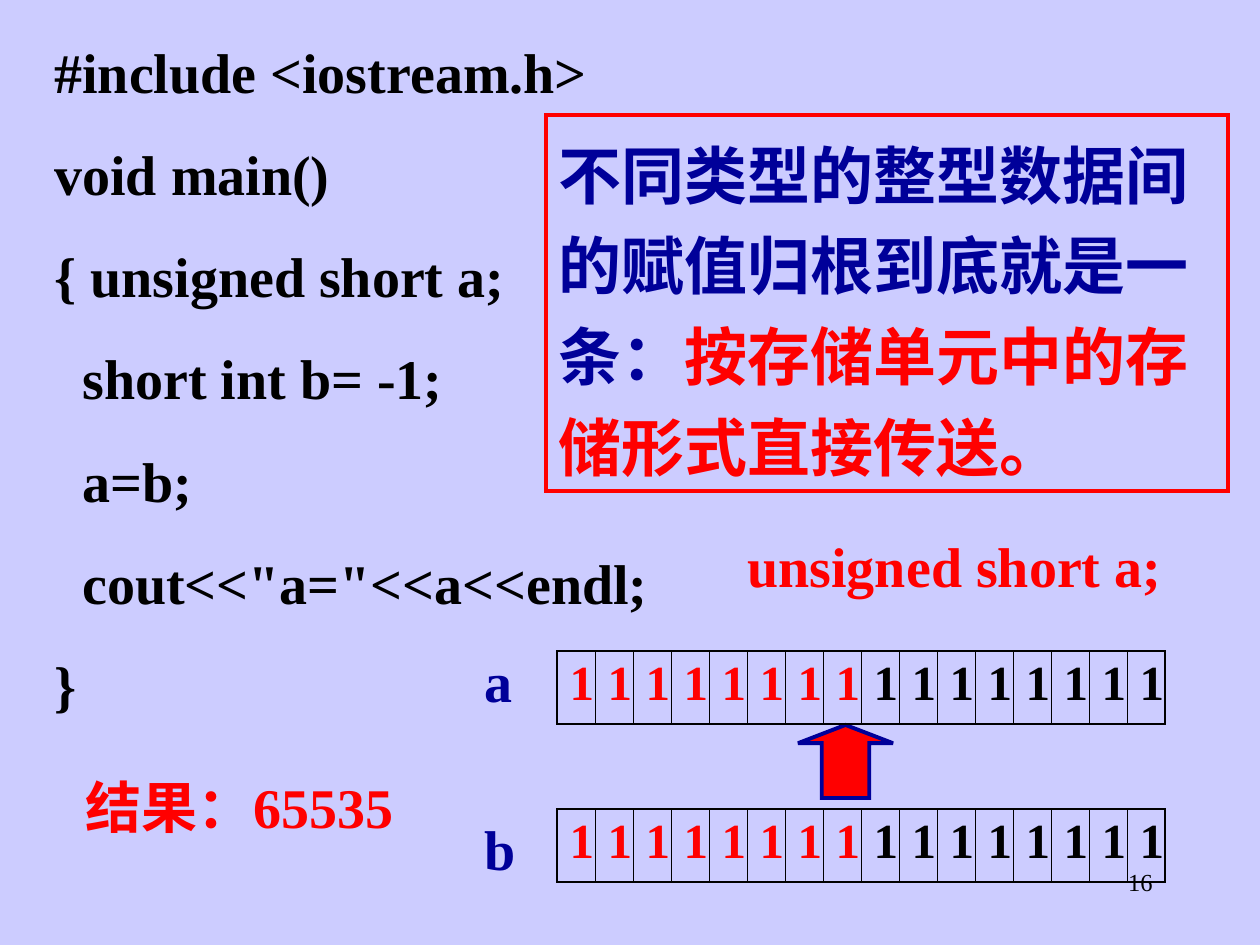
from lxml.etree import SubElement as Sub
from pptx import Presentation
from pptx.dml.color import RGBColor
from pptx.enum.shapes import MSO_SHAPE as Shape
from pptx.enum.text import MSO_ANCHOR as Anchor, PP_ALIGN as Align
from pptx.oxml.ns import qn
from pptx.util import Pt

TIMES, NOTO = "Times New Roman", "Noto Sans CJK SC"
RED, NAVY, BLACK, LILAC = "FF0000", "000099", "000000", "CCCCFF"
BITS, HALF = 16, 8
THIN, THICK = 0.45, 1.08
ROW_A, ROW_B = 651, 809
CODE = [
    "#include <iostream.h>",
    "void main()",
    "{ unsigned short a;",
    "  short int b= -1;",
    "  a=b;",
    '  cout<<"a="<<a<<endl;',
    "}",
]


def px(n):
    return round(n * 914400 / 126)


def color(code):
    return RGBColor.from_string(code)


def add_run(para, text, hue, size=32, face=TIMES, bold=True):
    run = para.add_run()
    run.text = text
    font = run.font
    font.size, font.name, font.bold = Pt(size), face, bold
    font.color.rgb = color(hue)
    Sub(run._r.get_or_add_rPr(), qn("a:ea"), typeface=NOTO)


def add_text(slide, box, lines, hue, align=Align.LEFT, gap=0, **style):
    frame = slide.shapes.add_textbox(*map(px, box)).text_frame
    frame.word_wrap = True
    for i, line in enumerate(lines):
        para = frame.add_paragraph() if i else frame.paragraphs[0]
        para.alignment = align
        para.space_before = Pt(gap if i else 0)
        add_run(para, line, hue, **style)


def add_form(slide, kind, box, line, fill=None):
    form = slide.shapes.add_shape(kind, *map(px, box))
    form.shadow.inherit = False
    if fill:
        form.fill.solid()
        form.fill.fore_color.rgb = color(fill)
    else:
        form.fill.background()
    form.line.color.rgb = color(line)
    form.line.width = Pt(2.25)
    Sub(form.line._get_or_add_ln(), qn("a:miter"), lim="800000")
    return form


def add_note(slide, box, parts):
    frame = add_form(slide, Shape.RECTANGLE, box, RED).text_frame
    frame.word_wrap = True
    frame.vertical_anchor = Anchor.TOP
    para = frame.paragraphs[0]
    para.alignment = Align.LEFT
    para.line_spacing = 1.2
    for text, hue in parts:
        add_run(para, text, hue, size=36, face=NOTO)


def set_edges(cell, widths):
    props = cell._tc.get_or_add_tcPr()
    for i, (side, width) in enumerate(zip("LRTB", widths)):
        edge = Sub(props, qn(f"a:ln{side}"), w=str(Pt(width)))
        fill = Sub(edge, qn("a:solidFill"))
        Sub(fill, qn("a:srgbClr"), val=BLACK)
        props.insert(i, edge)


def add_bits(slide, top, digits="", left=557, step=38, height=73):
    frame = slide.shapes.add_table(
        1, BITS, px(left), px(top), px(step * BITS), px(height))
    table = frame.table
    table.first_row = table.horz_banding = False
    for i, col in enumerate(table.columns):
        col.width = px(step)
        cell = table.cell(0, i)
        cell.fill.background()
        start = THICK if i == 0 else THIN
        end = THICK if i == BITS - 1 else THIN
        set_edges(cell, (start, end, THICK, THICK))
        if digits:
            hue = RED if i < HALF else BLACK
            add_run(cell.text_frame.paragraphs[0], digits[i], hue, size=28)


def main():
    deck = Presentation()
    deck.slide_width, deck.slide_height = px(1260), px(945)
    slide = deck.slides.add_slide(deck.slide_layouts[6])
    back = slide.background.fill
    back.solid()
    back.fore_color.rgb = color(LILAC)

    # Page number
    add_text(slide, (903, 861, 262, 63), ["16"], BLACK, Align.RIGHT,
             size=14, bold=False)

    # Program and its result
    add_text(slide, (42, 31, 693, 693), CODE, BLACK, Align.JUSTIFY, gap=20)
    add_text(slide, (73, 766, 567, 81), ["结果：65535"], RED)

    # Rule of assignment
    add_note(slide, (546, 115, 682, 376), [
        ("不同类型的整型数据间的赋值归根到底就是一条：", NAVY),
        ("按存储单元中的存储形式直接传送。", RED),
    ])

    # Storage of a as an empty grid, then b with its bits
    ones = "1" * BITS
    add_bits(slide, ROW_A)
    add_text(slide, (472, 640, 63, 81), ["a"], NAVY)
    add_bits(slide, ROW_B, ones)
    add_text(slide, (472, 808, 63, 81), ["b"], NAVY)

    # Transfer of the bits from b to a
    arrow = add_form(slide, Shape.UP_ARROW, (798, 725, 95, 73), NAVY, RED)
    arrow.adjustments[0], arrow.adjustments[1] = 0.5, 0.25
    add_bits(slide, ROW_A, ones)
    add_text(slide, (735, 525, 483, 81), ["unsigned short a;"], RED,
             Align.JUSTIFY)

    deck.save("out.pptx")


if __name__ == "__main__":
    main()
